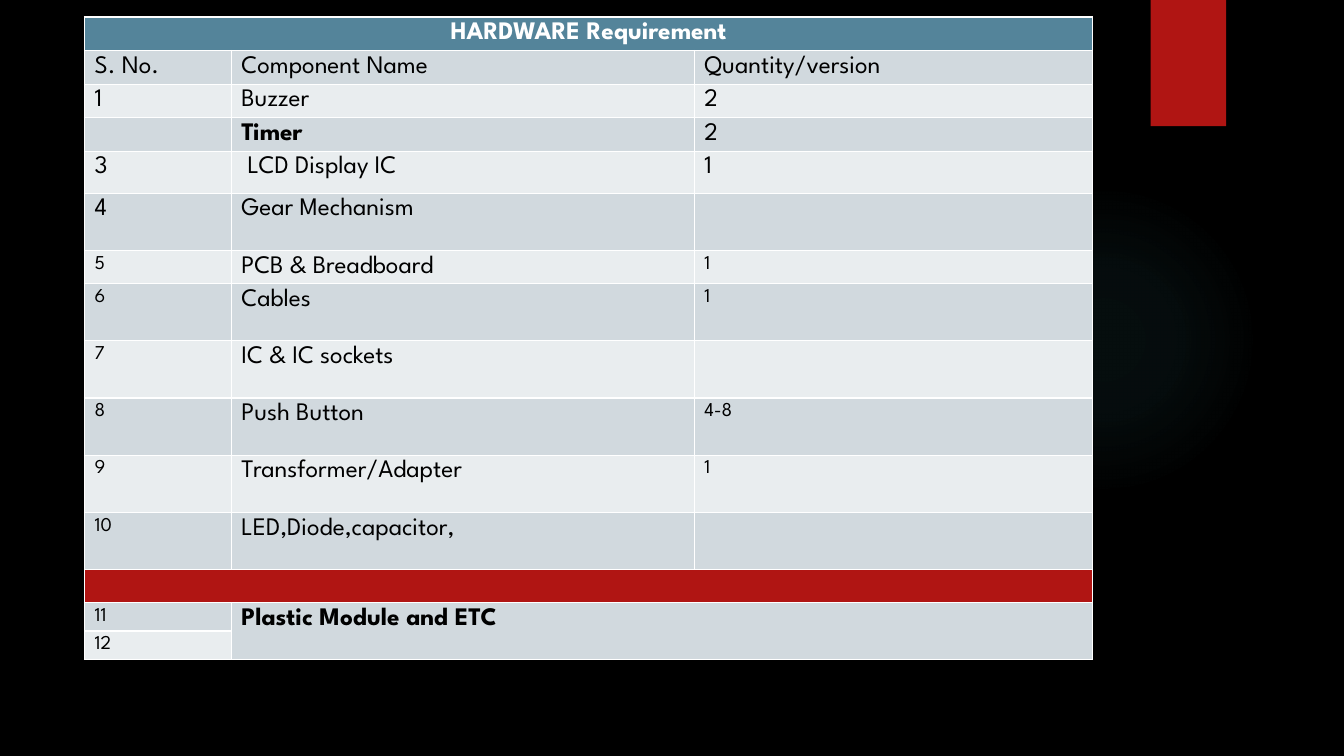
from pptx import Presentation, oxml
from pptx import util as u
from pptx.dml.color import RGBColor
from pptx.enum import shapes, text
from pptx.oxml import ns

COLORS = {
    "background": "000000", "glow": "50B9C1", "accent": "B01513", "header": "54849A",
    "dark_band": "D1D9DE", "light_band": "E9EDEF", "white": "FFFFFF", "black": "000000",
}
FONT = "League Spartan"
SMALL_TEXT_ROW = 6  # from here on, numbers and quantities are set smaller
DIVIDER_ROW = 12
LAST_ITEM_ROW = 13

ROWS = [  # number, component, quantity, height in cm
    ("HARDWARE Requirement", "", "", 0.84),
    ("S. No.", "Component Name", "Quantity/version", 0.85),
    ("1", "Buzzer", "2", 0.84),
    ("", "Timer", "2", 0.85),
    ("3", " LCD Display IC", "1", 1.06),
    ("4", "Gear Mechanism", "", 1.44),
    ("5", "PCB & Breadboard", "1", 0.84),
    ("6", "Cables", "1", 1.44),
    ("7", "IC & IC sockets", "", 1.44),
    ("8", "Push Button", "4-8", 1.44),
    ("9", "Transformer/Adapter", "1", 1.44),
    ("10", "LED,Diode,capacitor,", "", 1.44),
    ("", "", "", 0.84),
    ("11", "Plastic Module and ETC", "", 0.71),
    ("12", "", "", 0.71),
]
COLUMN_WIDTHS = [3.7, 11.67, 10.04]
BOLD_TEXTS = {"HARDWARE Requirement", "Timer", "Plastic Module and ETC"}


def set_fill(item, color):
    item.fill.solid()
    item.fill.fore_color.rgb = RGBColor.from_string(COLORS[color])


presentation = Presentation()
presentation.slide_width = u.Cm(33.87)
presentation.slide_height = u.Cm(19.05)
slide = presentation.slides.add_slide(presentation.slide_layouts[6])
set_fill(slide.background, "background")

# Faint round glow behind the table
glow = slide.shapes.add_shape(
    shapes.MSO_SHAPE.OVAL, u.Cm(23.9), u.Cm(4.65), u.Cm(7.82), u.Cm(7.82))
glow.shadow.inherit = False
glow.line.fill.background()
glow.fill.background()
stops = "".join(
    f'<a:gs pos="{position * 1000}"><a:srgbClr val="{COLORS["glow"]}">'
    f'<a:alpha val="{opacity * 1000}"/></a:srgbClr></a:gs>'
    for position, opacity in [(0, 7), (36, 6), (69, 0)])
gradient = oxml.parse_xml(
    f'<a:gradFill {ns.nsdecls("a")}><a:gsLst>{stops}</a:gsLst><a:path path="circle">'
    '<a:fillToRect l="50000" t="50000" r="50000" b="50000"/></a:path></a:gradFill>')
glow_properties = glow.element.spPr
glow_properties.replace(glow_properties.find(ns.qn("a:noFill")), gradient)

ribbon = slide.shapes.add_shape(
    shapes.MSO_SHAPE.RECTANGLE, u.Cm(29), 0, u.Cm(1.9), u.Cm(3.18))
ribbon.shadow.inherit = False
ribbon.line.fill.background()
set_fill(ribbon, "accent")

table = slide.shapes.add_table(
    len(ROWS), len(COLUMN_WIDTHS), u.Cm(2.13), u.Cm(0.43),
    u.Cm(sum(COLUMN_WIDTHS)), u.Cm(sum(row[-1] for row in ROWS))).table
for column, width in zip(table.columns, COLUMN_WIDTHS):
    column.width = u.Cm(width)

for row_index, (*values, height) in enumerate(ROWS):
    table.rows[row_index].height = u.Cm(height)
    if row_index == 0:
        band = "header"
    elif row_index == DIVIDER_ROW:
        band = "accent"
    else:
        band = "dark_band" if row_index % 2 else "light_band"

    for column_index, value in enumerate(values):
        cell = table.cell(row_index, column_index)
        set_fill(cell, band)
        if not value:
            cell.margin_top = cell.margin_bottom = 0
            continue
        run = cell.text_frame.paragraphs[0].add_run()
        run.text = value
        small = row_index >= SMALL_TEXT_ROW and column_index != 1
        run.font.name = FONT
        run.font.size = u.Pt(14 if small else 18)
        run.font.bold = value in BOLD_TEXTS
        run.font.color.rgb = RGBColor.from_string(
            COLORS["black" if row_index else "white"])

for full_width_row in (0, DIVIDER_ROW):
    table.cell(full_width_row, 0).merge(table.cell(full_width_row, 2))
table.cell(LAST_ITEM_ROW, 1).merge(table.cell(LAST_ITEM_ROW + 1, 2))
table.cell(0, 0).text_frame.paragraphs[0].alignment = text.PP_ALIGN.CENTER

presentation.save("out.pptx")
